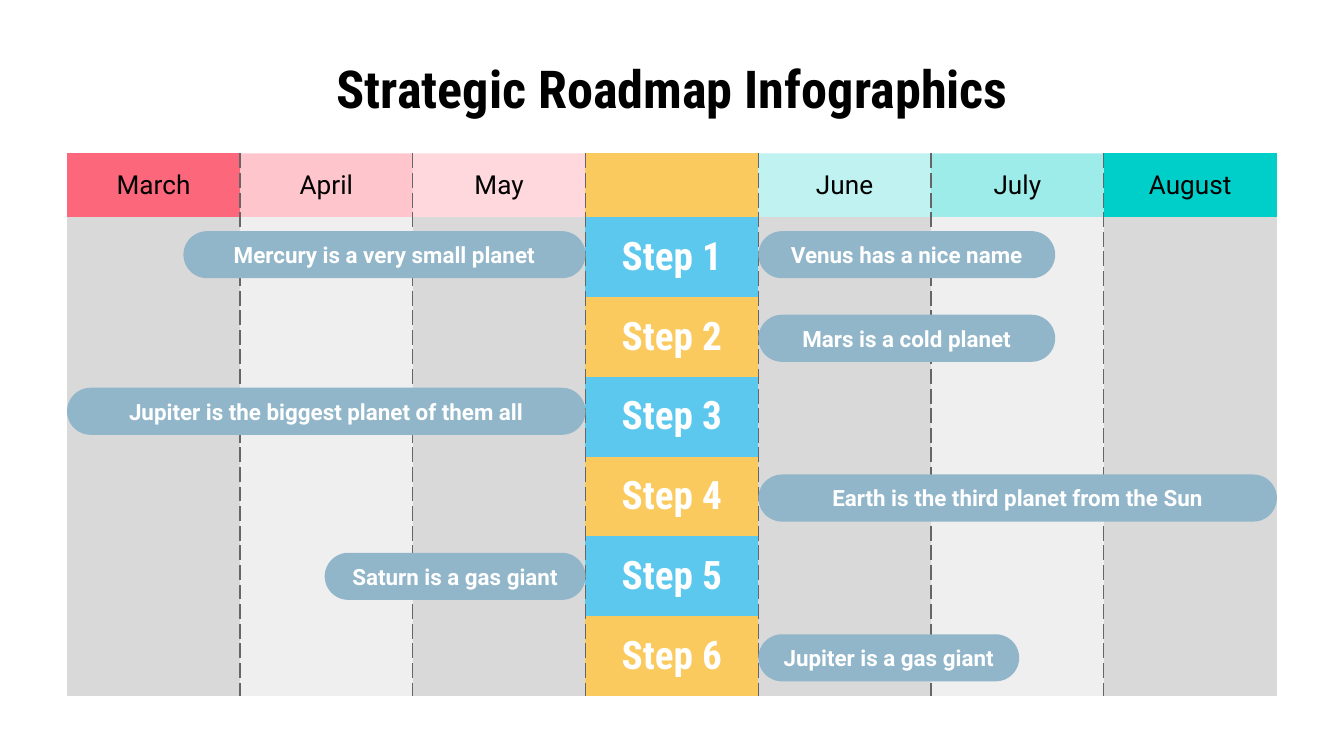
import pptx
import pptx.util
import pptx.dml.color
import pptx.enum.text
import pptx.enum.shapes
import pptx.oxml
import pptx.oxml.ns

Cm = pptx.util.Cm
MID = pptx.enum.text.MSO_ANCHOR.MIDDLE

TITLE = "Strategic Roadmap Infographics"
MONTHS = [
    ("March", "FD677B", 100),
    ("April", "FD677B", 38),
    ("May", "FD677B", 25),
    ("", "FBCA5F", 100),
    ("June", "00CEC8", 25),
    ("July", "00CEC8", 38),
    ("August", "00CEC8", 100),
]
STEPS = ["Step 1", "Step 2", "Step 3", "Step 4", "Step 5", "Step 6"]
SHADES = ["D9D9D9", "EFEFEF", "D9D9D9"]
STRIPES = ["5CC8EE", "FBCA5F"]
BARS = [
    ("Mercury is a very small planet", "left", 4.37, 7.6),
    ("Venus has a nice name", "right", 4.37, 5.61),
    ("Mars is a cold planet", "right", 5.95, 5.61),
    ("Jupiter is the biggest planet of them all", "left", 7.33, 9.8),
    ("Earth is the third planet from the Sun", "right", 8.97, 9.8),
    ("Saturn is a gas giant", "left", 10.45, 4.93),
    ("Jupiter is a gas giant", "right", 11.99, 4.93),
]

HEAD = {"name": "Roboto Condensed", "size": 28, "bold": True, "color": "000000"}
MONTH = {"name": "Roboto", "size": 14, "bold": False, "color": "000000"}
STEP = {"name": "Roboto Condensed", "size": 21, "bold": True, "color": "FFFFFF"}
BAR = {"name": "Roboto", "size": 12, "bold": True, "color": "FFFFFF"}

LEFT, TOP, WIDE = 1.27, 2.9, 22.86
COL = WIDE / len(MONTHS)
HEAD_H, STEP_H, BAR_H = 1.2, 1.51, 0.89
NO_STYLE = "{2D5ABB26-0587-4C30-8999-92F81FD0307C}"


def rgb(code):
    return pptx.dml.color.RGBColor.from_string(code)


def paint(fill, code, alpha=100):
    fill.solid()
    fill.fore_color.rgb = rgb(code)
    if alpha < 100:
        node = fill._xPr.find(".//" + pptx.oxml.ns.qn("a:srgbClr"))
        tint = pptx.oxml.parse_xml(
            f'<a:alpha {pptx.oxml.ns.nsdecls("a")} val="{alpha * 1000}"/>')
        node.append(tint)


def pad(box, gap):
    for side in ("left", "right", "top", "bottom"):
        setattr(box, "margin_" + side, Cm(gap))
    box.vertical_anchor = MID


def write(frame, words, style):
    para = frame.paragraphs[0]
    para.alignment = pptx.enum.text.PP_ALIGN.CENTER
    run = para.add_run()
    run.text = words
    for key, value in style.items():
        if key == "color":
            run.font.color.rgb = rgb(value)
        else:
            setattr(run.font, key, pptx.util.Pt(value) if key == "size" else value)


def dash(cell, tags):
    props = cell._tc.get_or_add_tcPr()
    for spot, tag in enumerate(tags):
        props.insert(spot, pptx.oxml.parse_xml(
            f'<a:{tag} {pptx.oxml.ns.nsdecls("a")} w="9525"><a:solidFill>'
            f'<a:srgbClr val="666666"/></a:solidFill><a:prstDash val="dash"/></a:{tag}>'))


def fill_cell(cell, col, words, style, code, alpha=100):
    pad(cell, 0.25 if words else 0)
    if words:
        write(cell.text_frame, words, style)
    paint(cell.fill, code, alpha)
    tags = ["lnL"] if col > 0 else []
    if col < len(MONTHS) - 1:
        tags.append("lnR")
    dash(cell, tags)


def add_grid(slide):
    high = HEAD_H + STEP_H * len(STEPS)
    grid = slide.shapes.add_table(
        len(STEPS) + 1, len(MONTHS), Cm(LEFT), Cm(TOP), Cm(WIDE), Cm(high)).table
    grid.first_row = grid.horz_banding = False
    grid._tbl.tblPr.find(pptx.oxml.ns.qn("a:tableStyleId")).text = NO_STYLE
    for col in grid.columns:
        col.width = Cm(COL)
    for num, row in enumerate(grid.rows):
        row.height = Cm(STEP_H if num else HEAD_H)
    for col, (month, code, alpha) in enumerate(MONTHS):
        fill_cell(grid.cell(0, col), col, month, MONTH, code, alpha)
        for row, step in enumerate(STEPS):
            mid = col == len(SHADES)
            shade = STRIPES[row % 2] if mid else SHADES[col % 4]
            fill_cell(grid.cell(row + 1, col), col, step if mid else "", STEP, shade)


def add_bar(slide, words, side, top, wide):
    left = LEFT + 3 * COL - wide if side == "left" else LEFT + 4 * COL
    bar = slide.shapes.add_shape(
        pptx.enum.shapes.MSO_SHAPE.ROUNDED_RECTANGLE,
        Cm(left), Cm(top), Cm(wide), Cm(BAR_H))
    bar.adjustments[0] = 0.5
    bar.shadow.inherit = False
    paint(bar.fill, "92B6C9")
    bar.line.fill.background()
    pad(bar.text_frame, 0.25)
    write(bar.text_frame, words, BAR)


def main():
    deck = pptx.Presentation()
    deck.slide_width, deck.slide_height = Cm(25.4), Cm(14.29)
    slide = deck.slides.add_slide(deck.slide_layouts[6])
    title = slide.shapes.add_textbox(Cm(LEFT), Cm(1.14), Cm(WIDE), Cm(1.04)).text_frame
    title.word_wrap = True
    pad(title, 0.25)
    write(title, TITLE, HEAD)
    add_grid(slide)
    for bar in BARS:
        add_bar(slide, *bar)
    deck.save("out.pptx")


if __name__ == "__main__":
    main()
